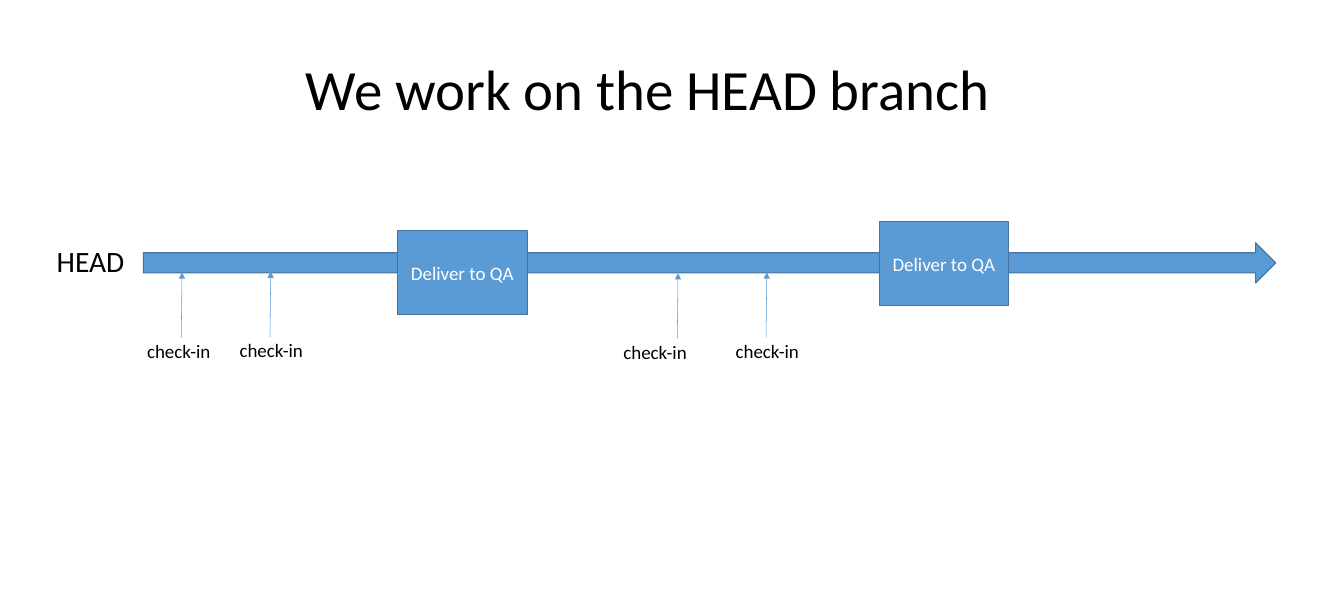
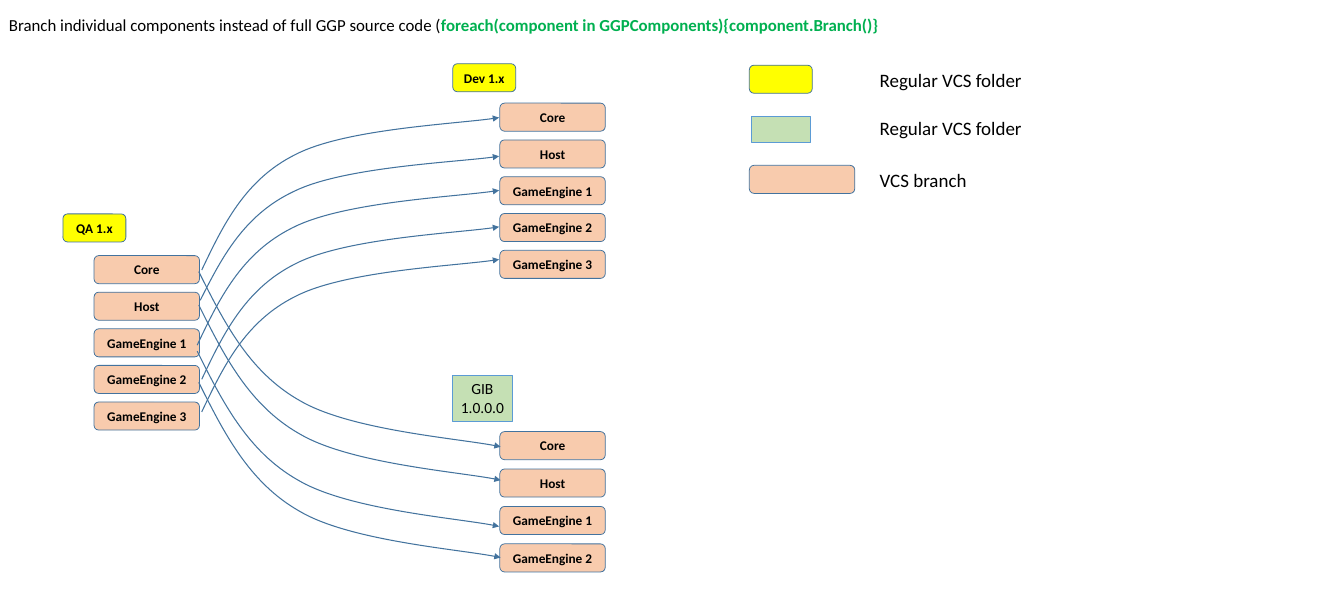
from pptx import Presentation
from pptx.dml.color import RGBColor as Rgb
from pptx.enum.shapes import MSO_CONNECTOR as Link, MSO_SHAPE as Kind
from pptx.enum.text import MSO_ANCHOR as Anchor, PP_ALIGN as Align
from pptx.oxml.ns import qn
from pptx.util import Inches, Pt
from lxml.etree import SubElement as Sub

FONT = "Calibri"
COLORS = {
    "black": "000000", "white": "FFFFFF", "blue": "5B9BD5", "edge": "43739E",
    "yellow": "FFFF00", "green": "C5E0B4", "peach": "F8CBAD", "code": "00B050",
}
PARTS = ["Core", "Host", "GameEngine 1", "GameEngine 2", "GameEngine 3"]
TAG = (0.83, 0.37)
PART = (1.39, 0.37)
# Two Bezier segments each, as offsets from the start, scaled to fit
RISE = [(0.28, 0.59), (0.57, 1.19), (1.23, 1.52),
        (1.88, 1.86), (3.46, 1.93), (3.92, 2.01)]
FALL = [(0.33, 0.66), (0.66, 1.32), (1.33, 1.7),
        (1.99, 2.09), (3.55, 2.21), (3.98, 2.31)]


def color(name):
    return Rgb.from_string(COLORS[name])


def write(frame, lines, size, tone="black", bold=False, align=Align.LEFT):
    """Each line is a list of (text, tone, bold) runs or a plain string."""
    for i, line in enumerate(lines):
        para = frame.paragraphs[0] if i == 0 else frame.add_paragraph()
        para.alignment = align
        runs = [(line, tone, bold)] if isinstance(line, str) else line
        for text, hue, heavy in runs:
            run = para.add_run()
            run.text = text
            run.font.name, run.font.size = FONT, Pt(size)
            run.font.bold = heavy
            run.font.color.rgb = color(hue)


def label(slide, box, line, size, wrap=True):
    frame = slide.shapes.add_textbox(*map(Inches, box)).text_frame
    frame.word_wrap = wrap
    write(frame, [line], size)


def stroke(line, tone, width):
    line.color.rgb = color(tone)
    line.width = Pt(width)


def block(slide, kind, box, fill, edge="edge", width=0.75):
    shape = slide.shapes.add_shape(kind, *map(Inches, box))
    shape.shadow.inherit = False
    shape.fill.solid()
    shape.fill.fore_color.rgb = color(fill)
    stroke(shape.line, edge, width)
    return shape


def caption(shape, lines, size, tone="black", bold=False, anchor=Anchor.MIDDLE):
    frame = shape.text_frame
    frame.word_wrap = True
    frame.vertical_anchor = anchor
    write(frame, lines, size, tone, bold, Align.CENTER)


def tip(shape):
    """Put an arrowhead at the end of a line."""
    Sub(shape.line._get_or_add_ln(), qn("a:tailEnd"), type="triangle")


def tab(slide, box, text, fill):
    caption(block(slide, Kind.ROUNDED_RECTANGLE, box, fill), [text], 12.6, bold=True)


def stack(slide, x, top, last, names):
    """Space the parts evenly from top to last."""
    pitch = (last - top) / (len(names) - 1)
    for i, name in enumerate(names):
        tab(slide, (x, top + i * pitch, *PART), name, "peach")


def bend(shape):
    """Turn each three straight segments into one Bezier segment."""
    lines = list(shape._element.iter(qn("a:lnTo")))
    for i in range(0, len(lines), 3):
        trio = lines[i:i + 3]
        cubic = Sub(trio[0].getparent(), qn("a:cubicBezTo"))
        for line in trio:
            cubic.append(line[0])
            line.getparent().remove(line)


def curve(slide, x, y, end, form):
    """Draw a curved arrow from (x, y) to the point end."""
    wide, high = form[-1]
    across, down = (end[0] - x) / wide, (end[1] - y) / high
    dots = [(Inches(x + u * across), Inches(y + v * down)) for u, v in form]
    outline = slide.shapes.build_freeform(Inches(x), Inches(y))
    outline.add_line_segments(dots, close=False)
    shape = outline.convert_to_shape()
    bend(shape)
    shape.shadow.inherit = False
    shape.fill.background()
    stroke(shape.line, "edge", 1)
    tip(shape)


def checkin(slide, x, y, shift, width):
    """Arrow rising from (x, y), its label shifted from the arrow's foot."""
    line = slide.shapes.add_connector(
        Link.STRAIGHT, *map(Inches, (x, y, x + 0.01, y - 0.86)))
    Sub(line._element.spPr, qn("a:effectLst"))
    stroke(line.line, "blue", 0.5)
    tip(line)
    label(slide, (x - shift, y - 0.02, width, 0.4), "check-in", 18)


def deliver(slide, x, y):
    shape = block(slide, Kind.RECTANGLE, (x, y, 1.71, 1.11), "blue", width=1)
    caption(shape, ["Deliver to QA"], 18, "white")


def head(slide):
    label(slide, (3.93, 0.66, 9.32, 1.01), "We work on the HEAD branch", 54, False)
    block(slide, Kind.RIGHT_ARROW, (1.89, 3.2, 14.93, 0.53), "blue", width=1)
    label(slide, (0.65, 3.15, 1.1, 0.57), "HEAD", 28, False)
    for spot in [(2.39, 4.45, 0.55, 1.1), (3.56, 4.44, 0.5, 1.17),
                 (8.93, 4.46, 0.81, 1.31), (10.1, 4.45, 0.5, 1.2)]:
        checkin(slide, *spot)
    deliver(slide, 5.24, 3.04)
    deliver(slide, 11.59, 2.92)


def legend(slide, x, y):
    rows = [
        (Kind.ROUNDED_RECTANGLE, 0, 0.01, TAG, "yellow", "edge",
         "Regular VCS folder", 0),
        (Kind.RECTANGLE, 0.03, 0.68, (0.78, 0.35), "green", "blue",
         "Regular VCS folder", 0.64),
        (Kind.ROUNDED_RECTANGLE, 0, 1.33, PART, "peach", "edge",
         "VCS branch", 1.32),
    ]
    for kind, dx, dy, size, fill, edge, text, top in rows:
        block(slide, kind, (x + dx, y + dy, *size), fill, edge)
        label(slide, (x + 1.62, y + top, 2.5, 0.4), text, 18)


def tree(slide):
    tab(slide, (0.83, 2.82, *TAG), "QA 1.x", "yellow")
    stack(slide, 1.24, 3.37, 5.3, PARTS)
    tab(slide, (5.97, 0.84, *TAG), "Dev 1.x", "yellow")
    stack(slide, 6.59, 1.36, 3.3, PARTS)
    build = block(slide, Kind.RECTANGLE, (5.97, 4.95, 0.78, 0.6), "green", "blue")
    caption(build, ["GIB", "1.0.0.0"], 14.7, anchor=Anchor.TOP)
    stack(slide, 6.59, 5.69, 7.17, PARTS[:4])
    for x, y, end in [(2.66, 3.56, 1.55), (2.64, 3.96, 2.06), (2.6, 4.55, 2.51),
                      (2.66, 5, 2.99), (2.66, 5.43, 3.42)]:
        curve(slide, x, y, (6.58, end), RISE)
    for x, y in [(2.62, 3.58), (2.62, 4.02), (2.6, 4.63), (2.62, 5.04)]:
        curve(slide, x, y, (x + 3.98, y + 2.31), FALL)


def branch(slide):
    tree(slide)
    legend(slide, 9.88, 0.85)
    label(slide, (0.02, 0.15, 11.86, 0.37), [
        ("Branch individual components instead of full GGP source code (",
         "black", False),
        ("foreach(component in GGPComponents){component.Branch()}", "code", True),
    ], 16)


def main():
    deck = Presentation()
    deck.slide_width, deck.slide_height = Inches(17.72), Inches(7.87)
    for draw in (head, branch):
        draw(deck.slides.add_slide(deck.slide_layouts[6]))
    deck.save("out.pptx")


if __name__ == "__main__":
    main()
